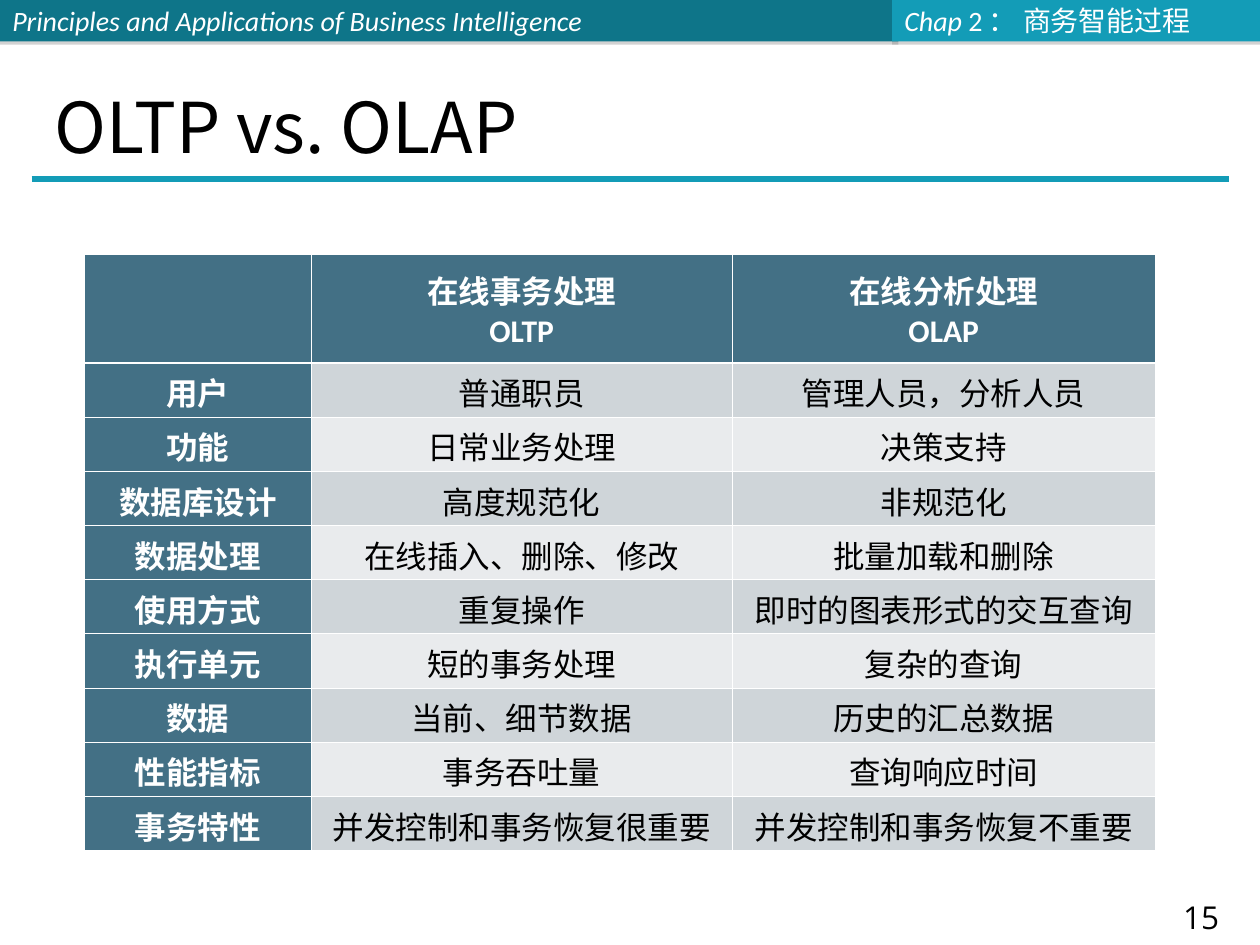
"""Build the OLTP and OLAP comparison slide."""
from lxml.etree import SubElement
from pptx import Presentation
from pptx.dml.color import RGBColor
from pptx.enum.shapes import MSO_CONNECTOR as Connector, MSO_SHAPE as Shape
from pptx.enum.text import MSO_ANCHOR as Anchor, PP_ALIGN as Align
from pptx.oxml.ns import qn
from pptx.util import Inches, Pt

CJK = "Noto Sans CJK SC"
WHITE, BLACK, CYAN, SLATE = "FFFFFF", "000000", "139CB7", "437085"
BANDS = ["CFD5D9", "E9EBED"]

BANNERS = [
    (0, 7.13, "0E7589", [("Principles and Applications of Business Intelligence", True)]),
    (7.08, 2.94, CYAN, [("Chap ", True), ("2 ： 商务智能过程", False)]),
]
TITLE = "OLTP vs. OLAP"
ROWS = [
    ("", "在线事务处理\nOLTP", "在线分析处理\nOLAP"),
    ("用户", "普通职员", "管理人员，分析人员"),
    ("功能", "日常业务处理", "决策支持"),
    ("数据库设计", "高度规范化", "非规范化"),
    ("数据处理", "在线插入、删除、修改", "批量加载和删除"),
    ("使用方式", "重复操作", "即时的图表形式的交互查询"),
    ("执行单元", "短的事务处理", "复杂的查询"),
    ("数据", "当前、细节数据", "历史的汇总数据"),
    ("性能指标", "事务吞吐量", "查询响应时间"),
    ("事务特性", "并发控制和事务恢复很重要", "并发控制和事务恢复不重要"),
]
COLUMN_WIDTHS = [1.8, 3.34, 3.36]
ROW_HEIGHT = 0.43
PAGE_NUMBER = " 15"


def rgb(value):
    return RGBColor.from_string(value)


def set_font(font, size, color, name="Calibri", bold=False):
    font.size, font.name, font.bold = Pt(size), name, bold
    font.color.rgb = rgb(color)
    SubElement(font._element, qn("a:ea"), typeface=CJK)


def add_banner(slide, left, width, color, runs):
    banner = slide.shapes.add_shape(
        Shape.RECTANGLE, Inches(left), 0, Inches(width), Inches(0.33))
    banner.fill.solid()
    banner.fill.fore_color.rgb = rgb(color)
    banner.line.fill.background()
    effects = SubElement(banner._element.spPr, qn("a:effectLst"))
    shadow = SubElement(effects, qn("a:outerShdw"), blurRad="0",
                        dist=str(Pt(1.8)), dir="5400000", rotWithShape="0")
    shade = SubElement(shadow, qn("a:srgbClr"), val="808080")
    SubElement(shade, qn("a:alpha"), val="35000")
    banner.text_frame.vertical_anchor = Anchor.MIDDLE
    paragraph = banner.text_frame.paragraphs[0]
    paragraph.alignment = Align.LEFT
    for text, italic in runs:
        run = paragraph.add_run()
        run.text = text
        set_font(run.font, 16, WHITE)
        run.font.italic = italic


def add_title(slide):
    title = slide.shapes.title
    title.left, title.top = Inches(0.33), Inches(0.33)
    title.width, title.height = Inches(9.33), Inches(1)
    frame = title.text_frame
    frame.text = TITLE
    frame.vertical_anchor = Anchor.BOTTOM
    frame.margin_bottom = 0
    frame.paragraphs[0].alignment = Align.LEFT
    set_font(frame.paragraphs[0].font, 40, BLACK, CJK)


def add_rule(slide):
    rule = slide.shapes.add_connector(
        Connector.STRAIGHT, Inches(0.25), Inches(1.42), Inches(9.75), Inches(1.42))
    rule.line.color.rgb = rgb(CYAN)
    rule.line.width = Pt(3)
    SubElement(rule._element.spPr, qn("a:effectLst"))


def set_borders(cell, widths):
    properties = cell._tc.get_or_add_tcPr()
    for side, width in widths.items():
        line = SubElement(properties, qn(f"a:ln{side}"), w=str(Pt(width)))
        fill = SubElement(line, qn("a:solidFill"))
        SubElement(fill, qn("a:srgbClr"), val=WHITE)


def fill_cell(cell, text, row, column):
    heading = row == 0 or column == 0
    set_borders(cell, {"L": 0.45, "R": 0.45, "T": 1.47 if row == 1 else 0.45,
                       "B": 1.47 if row == 0 else 0.45})
    cell.fill.solid()
    cell.fill.fore_color.rgb = rgb(SLATE if heading else BANDS[(row - 1) % 2])
    cell.vertical_anchor = Anchor.MIDDLE
    cell.margin_left = cell.margin_right = Inches(0.08)
    cell.margin_top = cell.margin_bottom = Inches(0.05)
    cell.text = text
    for paragraph in cell.text_frame.paragraphs:
        paragraph.alignment = Align.CENTER
        set_font(paragraph.font, 18, WHITE if heading else BLACK, bold=heading)


def add_comparison(slide):
    table = slide.shapes.add_table(
        len(ROWS), len(COLUMN_WIDTHS), Inches(0.67), Inches(2.02),
        Inches(sum(COLUMN_WIDTHS)), Inches(ROW_HEIGHT * (len(ROWS) + 1))).table
    for column, width in zip(table.columns, COLUMN_WIDTHS):
        column.width = Inches(width)
    for row, texts in enumerate(ROWS):
        table.rows[row].height = Inches(ROW_HEIGHT * (2 if row == 0 else 1))
        for column, text in enumerate(texts):
            fill_cell(table.cell(row, column), text, row, column)


def add_page_number(slide):
    box = slide.shapes.add_textbox(Inches(9), Inches(7.1), Inches(1), Inches(0.38))
    box.text_frame.word_wrap = True
    paragraph = box.text_frame.paragraphs[0]
    paragraph.text = PAGE_NUMBER
    paragraph.alignment = Align.CENTER
    paragraph.line_spacing = Pt(20)
    set_font(paragraph.font, 18, BLACK, "Open Sans")


def main():
    presentation = Presentation()
    presentation.slide_width, presentation.slide_height = Inches(10), Inches(7.5)
    slide = presentation.slides.add_slide(presentation.slide_layouts[5])
    for banner in BANNERS:
        add_banner(slide, *banner)
    add_page_number(slide)
    add_rule(slide)
    add_title(slide)
    add_comparison(slide)
    presentation.save("out.pptx")


if __name__ == "__main__":
    main()
